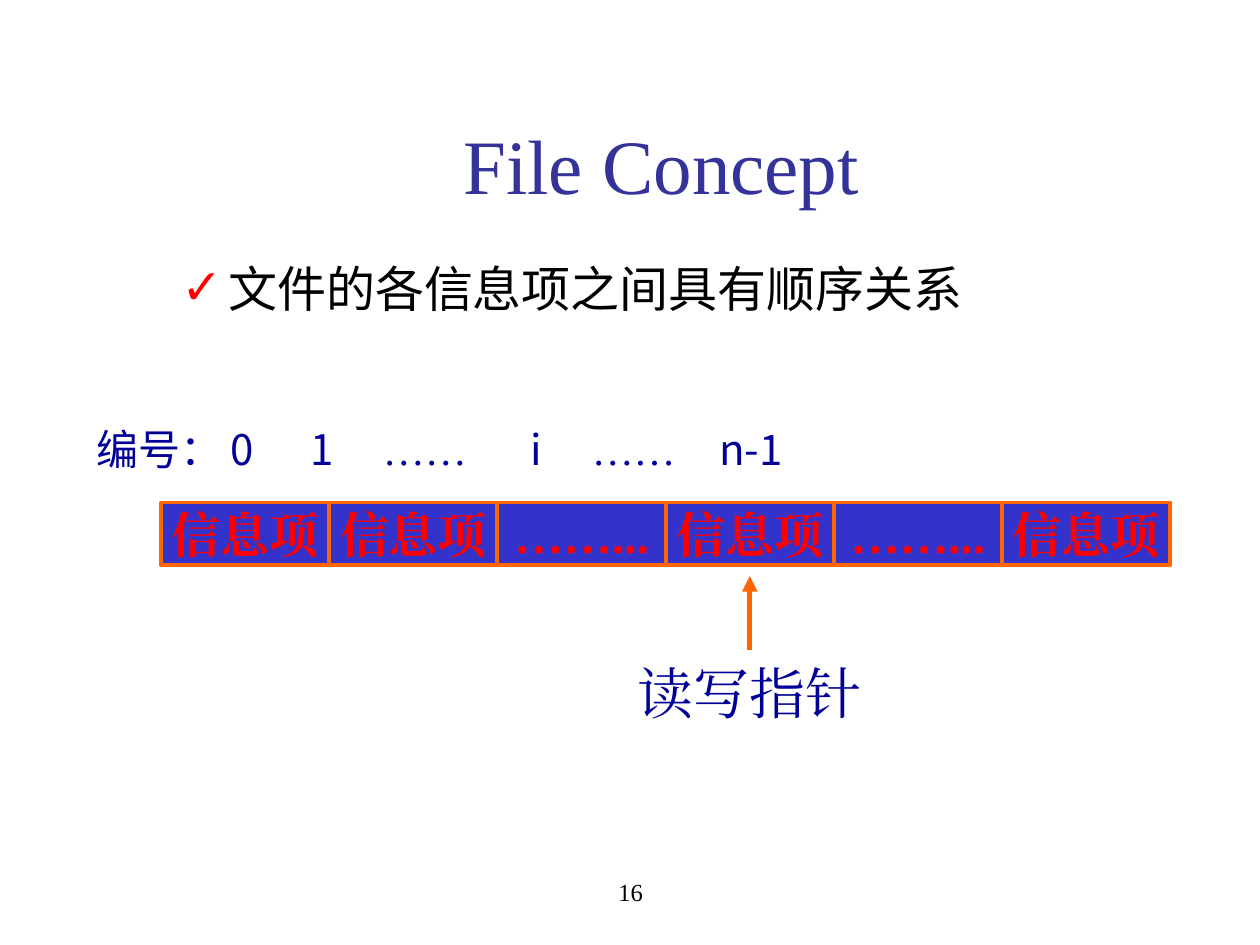
import pptx
import pptx.dml.color
import pptx.enum.shapes
import pptx.enum.text
import pptx.oxml.ns
import pptx.util
from lxml import etree

Cm, Pt = pptx.util.Cm, pptx.util.Pt
RGBColor = pptx.dml.color.RGBColor
ALIGN, ANCHOR = pptx.enum.text.PP_ALIGN, pptx.enum.text.MSO_ANCHOR
qn = pptx.oxml.ns.qn

BLACK = RGBColor(0x00, 0x00, 0x00)
RED = RGBColor(0xFF, 0x00, 0x00)
ORANGE = RGBColor(0xFF, 0x66, 0x00)
NAVY = RGBColor(0x00, 0x00, 0x99)
INDIGO = RGBColor(0x33, 0x33, 0x99)
CELL_BLUE = RGBColor(0x33, 0x33, 0xCC)
SERIF, HAN = "Times New Roman", "Noto Sans CJK SC"


def add_text(paragraph, text, *, size, color, font=SERIF, bold=False):
    """Append one formatted run to the paragraph."""
    run = paragraph.add_run()
    run.text = text
    run.font.size, run.font.bold = Pt(size), bold
    run.font.name, run.font.color.rgb = font, color
    etree.SubElement(run.font._element, qn("a:ea"), typeface=font)


class SlideBuilder:
    def __init__(self, slide):
        self.slide = slide

    def setup(self, shape, align, anchor, wrap=True):
        frame = shape.text_frame
        frame.auto_size = pptx.enum.text.MSO_AUTO_SIZE.NONE
        frame.word_wrap, frame.vertical_anchor = wrap, anchor
        paragraph = frame.paragraphs[0]
        paragraph.alignment = align
        return paragraph

    def place(self, shape, box):
        shape.left, shape.top, shape.width, shape.height = map(Cm, box)

    def title(self, text, box):
        heading = self.slide.shapes.title
        self.place(heading, box)
        paragraph = self.setup(heading, ALIGN.CENTER, ANCHOR.MIDDLE)
        add_text(paragraph, text, size=44, color=INDIGO)

    def check_item(self, text, box):
        body = self.slide.placeholders[1]
        self.place(body, box)
        paragraph = self.setup(body, ALIGN.LEFT, ANCHOR.TOP)
        props = paragraph._p.get_or_add_pPr()
        props.set("marL", str(Cm(0.95)))
        props.set("indent", str(-Cm(0.95)))
        bullet_color = etree.SubElement(props, qn("a:buClr"))
        etree.SubElement(bullet_color, qn("a:srgbClr"), val=str(RED))
        etree.SubElement(props, qn("a:buChar"), char="✓")
        paragraph.space_before = Pt(7)
        add_text(paragraph, text, size=28, color=BLACK, font=HAN)

    def label(self, text, box, size, color):
        shape = self.slide.shapes.add_textbox(*map(Cm, box))
        paragraph = self.setup(shape, ALIGN.CENTER, ANCHOR.MIDDLE)
        add_text(paragraph, text, size=size, color=color)

    def tabbed_row(self, heading, entries, box):
        """Write a heading and entries, each entry at its own tab stop."""
        shape = self.slide.shapes.add_textbox(*map(Cm, box))
        paragraph = self.setup(shape, ALIGN.LEFT, ANCHOR.MIDDLE)
        tabs = etree.SubElement(paragraph._p.get_or_add_pPr(), qn("a:tabLst"))
        add_text(paragraph, heading, size=24, color=NAVY, font=HAN)
        for position, text in entries:
            etree.SubElement(tabs, qn("a:tab"), pos=str(Cm(position)), algn="l")
            font = SERIF if text == "……" else HAN
            add_text(paragraph, "\t" + text, size=24, color=NAVY, font=font)

    def cell(self, text, box):
        shape = self.slide.shapes.add_shape(
            pptx.enum.shapes.MSO_SHAPE.RECTANGLE, *map(Cm, box))
        shape.shadow.inherit = False
        shape.fill.solid()
        shape.fill.fore_color.rgb = CELL_BLUE
        shape.line.color.rgb, shape.line.width = ORANGE, Pt(2.25)
        paragraph = self.setup(shape, ALIGN.CENTER, ANCHOR.MIDDLE, wrap=False)
        add_text(paragraph, text, size=28, color=RED, bold=True)

    def arrow(self, *ends):
        line = self.slide.shapes.add_connector(
            pptx.enum.shapes.MSO_CONNECTOR.STRAIGHT, *map(Cm, ends))
        line.line.color.rgb, line.line.width = ORANGE, Pt(3)
        etree.SubElement(line.line._get_or_add_ln(), qn("a:tailEnd"), type="triangle")
        etree.SubElement(line._element.spPr, qn("a:effectLst"))


def main():
    deck = pptx.Presentation()
    deck.slide_width, deck.slide_height = Cm(25.4), Cm(19.05)
    page = SlideBuilder(deck.slides.add_slide(deck.slide_layouts[1]))

    # Heading, statement and page number
    page.title("File Concept", (2.54, 1.7, 21.59, 3.18))
    page.check_item("文件的各信息项之间具有顺序关系", (3.4, 5.08, 20.09, 11.84))
    page.label("16", (8.69, 17.35, 8.05, 1.27), 14, BLACK)

    # Index numbers above the records
    indices = [(2.69, "0"), (4.32, "1"), (5.77, "……"),
               (8.74, "i"), (9.98, "……"), (12.55, "n-1")]
    page.tabbed_row("编号：", indices, (1.7, 8.41, 22.23, 1.27))

    # Row of records
    row_left, row_top, cell_width, cell_height = 3.25, 10.13, 3.39, 1.27
    records = ["信息项", "信息项", "……...", "信息项", "……...", "信息项"]
    for column, record in enumerate(records):
        page.cell(record, (row_left + column * cell_width, row_top,
                           cell_width, cell_height))

    # Read/write pointer under record i
    pointer_x, pointer_width = row_left + 3.5 * cell_width, 5.04
    page.label("读写指针", (pointer_x - pointer_width / 2, 13.13, pointer_width, 1.63),
               32, NAVY)
    page.arrow(pointer_x, 13.11, pointer_x, 11.61)

    deck.save("out.pptx")


if __name__ == "__main__":
    main()
